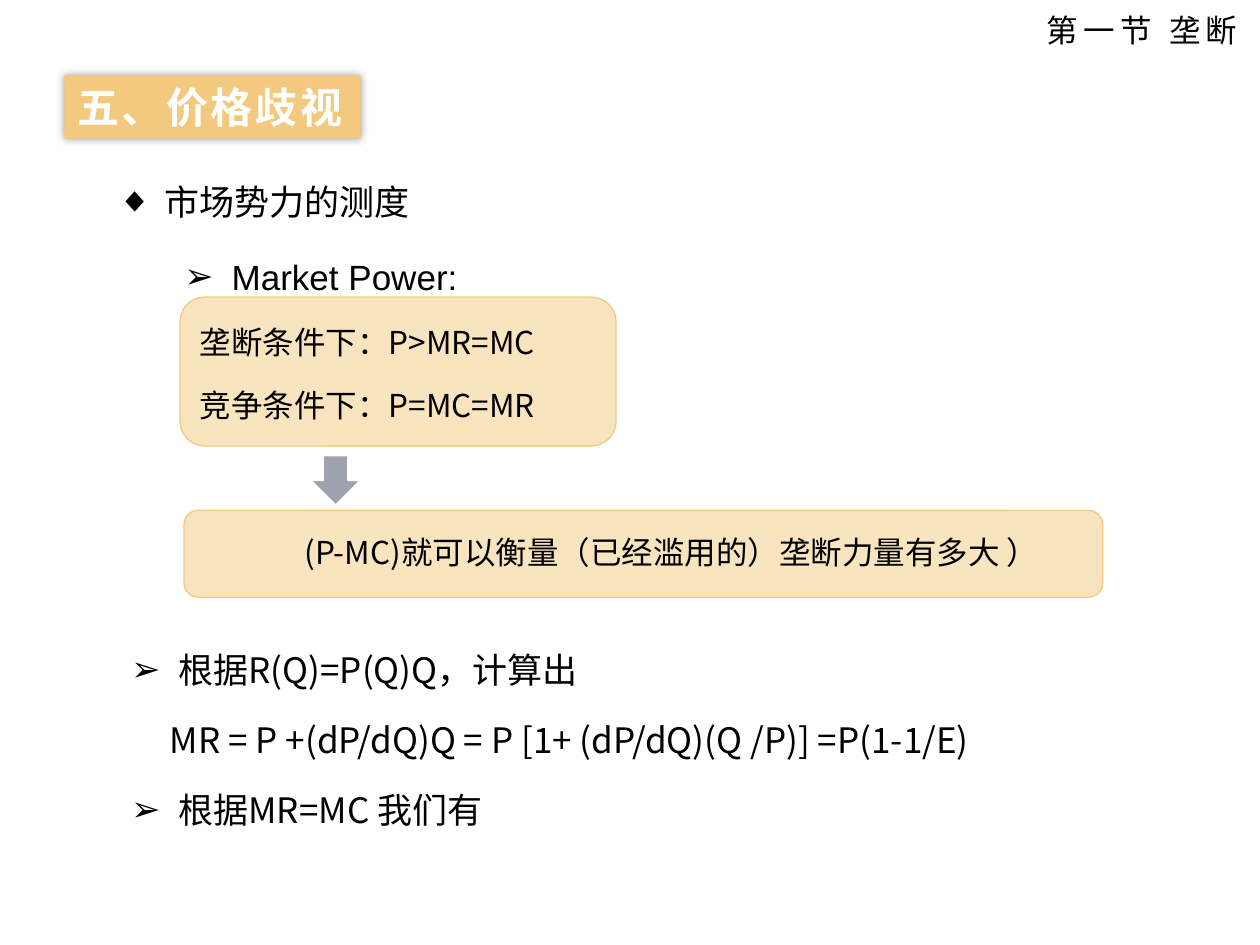
from dataclasses import dataclass

from lxml import etree
from pptx import Presentation, util as u
from pptx.dml.color import RGBColor
from pptx.enum import shapes, text
from pptx.oxml.ns import qn

COLORS = {"gold": "F3C97F", "gray": "9DA2AD", "white": "FFFFFF", "black": "000000"}
CJK = "Noto Sans CJK SC"
HANG = 0.95


@dataclass
class Line:
    words: str
    size: int = 20
    margin: float = 0
    indent: float = 0
    bullet: str = ""
    spacing: float = 1.0
    font: str = CJK
    color: str = "black"
    bold: bool = False
    tracking: int = 0
    align: text.PP_ALIGN = text.PP_ALIGN.LEFT


@dataclass
class Box:
    left: float
    top: float
    width: float
    height: float

    def lengths(self) -> tuple:
        return tuple(u.Cm(side) for side in (self.left, self.top, self.width, self.height))


def rgb(color: str) -> RGBColor:
    return RGBColor.from_string(COLORS[color])


def write_line(paragraph, line: Line, first: bool) -> None:
    paragraph.text = line.words
    paragraph.alignment = line.align
    paragraph.line_spacing = line.spacing
    paragraph.space_before = u.Pt(0 if first else line.size * 0.2)
    props = paragraph._p.get_or_add_pPr()
    props.set("marL", str(u.Cm(line.margin)))
    props.set("indent", str(u.Cm(line.indent)))
    if line.bullet:
        etree.SubElement(props, qn("a:buFont")).set("typeface", "Arial")
        etree.SubElement(props, qn("a:buChar")).set("char", line.bullet)
    else:
        etree.SubElement(props, qn("a:buNone"))
    font = paragraph.font
    font.size = u.Pt(line.size)
    font.bold = line.bold
    font.name = line.font
    font.color.rgb = rgb(line.color)
    run_props = props.find(qn("a:defRPr"))
    run_props.set("spc", str(line.tracking))
    etree.SubElement(run_props, qn("a:ea")).set("typeface", line.font)


def fill_text(holder, box: Box, lines: list[Line], wrap: bool = True) -> None:
    holder.left, holder.top, holder.width, holder.height = box.lengths()
    frame = holder.text_frame
    frame.word_wrap = wrap
    frame.auto_size = text.MSO_AUTO_SIZE.NONE
    frame.vertical_anchor = text.MSO_ANCHOR.TOP
    for index, line in enumerate(lines):
        paragraph = frame.add_paragraph() if index else frame.paragraphs[0]
        write_line(paragraph, line, index == 0)


def add_text(slide, box: Box, lines: list[Line], wrap: bool = True) -> None:
    label = slide.shapes.add_textbox(*box.lengths())
    fill_text(label, box, lines, wrap)
    if not wrap:
        label.text_frame.auto_size = text.MSO_AUTO_SIZE.SHAPE_TO_FIT_TEXT


def add_panel(slide, kind, box: Box, fill: str, outline: str, opacity: int = 100) -> None:
    panel = slide.shapes.add_shape(kind, *box.lengths())
    panel.shadow.inherit = False
    panel.fill.solid()
    panel.fill.fore_color.rgb = rgb(fill)
    panel.line.color.rgb = rgb(outline)
    panel.line.width = u.Pt(0.75)
    if opacity < 100:
        tint = panel._element.spPr.find(qn("a:solidFill"))[0]
        etree.SubElement(tint, qn("a:alpha")).set("val", str(opacity * 1000))


def add_glow_shadow(shape) -> None:
    effects = etree.SubElement(shape._element.spPr, qn("a:effectLst"))
    shadow = etree.SubElement(effects, qn("a:outerShdw"), blurRad=str(u.Pt(5)), dist="0", dir="0")
    tint = etree.SubElement(shadow, qn("a:srgbClr"), val=COLORS["black"])
    etree.SubElement(tint, qn("a:alpha"), val="40000")


def main() -> None:
    deck = Presentation()
    deck.slide_width, deck.slide_height = u.Cm(25.4), u.Cm(19.05)
    slide = deck.slides.add_slide(deck.slide_layouts[1])
    heading, derivation = slide.placeholders

    fill_text(heading, Box(1.3, 1.52, 5.97, 1.27),
              [Line("五、价格歧视", 24, color="white", bold=True, tracking=150)], wrap=False)
    heading.fill.solid()
    heading.fill.fore_color.rgb = rgb("gold")
    add_glow_shadow(heading)

    fill_text(derivation, Box(2.39, 12.52, 23.93, 6.05), [
        Line("根据R(Q)=P(Q)Q，计算出", 20, HANG, -HANG, "➢", 1.5),
        Line("MR = P +(dP/dQ)Q = P [1+ (dP/dQ)(Q /P)] =P(1-1/E)", 20, 0.78, spacing=1.5),
        Line("根据MR=MC 我们有", 20, HANG, -HANG, "➢", 1.5),
    ])

    rounded = shapes.MSO_SHAPE.ROUNDED_RECTANGLE
    add_panel(slide, rounded, Box(3.71, 10.29, 18.52, 1.75), "gold", "gold", 49)
    add_panel(slide, rounded, Box(3.63, 5.99, 8.79, 3), "gold", "gold", 49)
    add_panel(slide, shapes.MSO_SHAPE.DOWN_ARROW, Box(6.27, 9.19, 0.99, 0.99), "gray", "white")

    add_text(slide, Box(1.24, 4.6, 24.77, 3.38), [
        Line("Market Power:", 20, 3.18, -HANG, "➢", 1.5, "Arial"),
        Line("垄断条件下：P>MR=MC", 18, 2.54, spacing=1.5),
        Line("竞争条件下：P=MC=MR", 18, 2.54, spacing=1.5),
    ])
    add_text(slide, Box(5.89, 10.62, 21.26, 1.09),
             [Line("(P-MC)就可以衡量（已经滥用的）垄断力量有多大 ）", 18)])
    add_text(slide, Box(20.85, 0.1, 4.55, 1.02),
             [Line("第一节 垄断", 18, tracking=300, align=text.PP_ALIGN.JUSTIFY)], wrap=False)
    add_text(slide, Box(2.11, 3.51, 6.45, 1.12),
             [Line("市场势力的测度", 20, HANG, -HANG, "◆")], wrap=False)

    deck.save("out.pptx")


if __name__ == "__main__":
    main()
